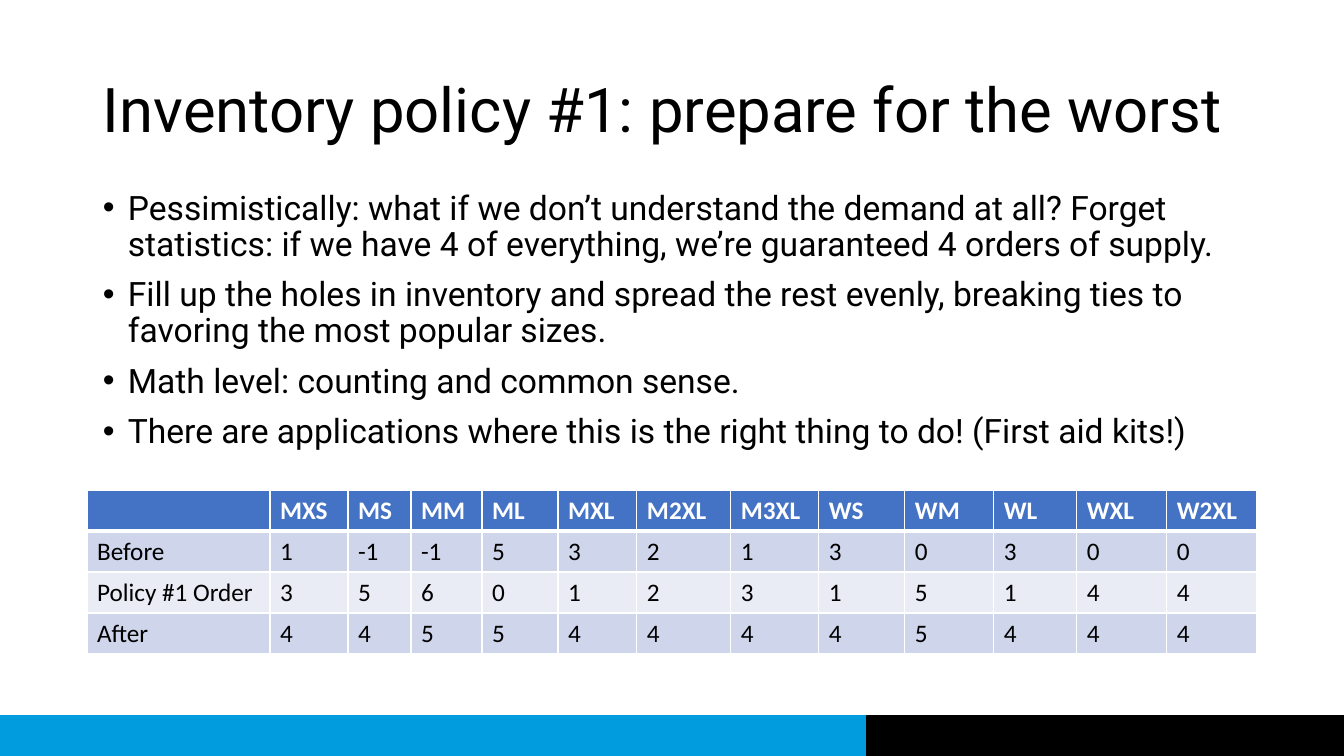
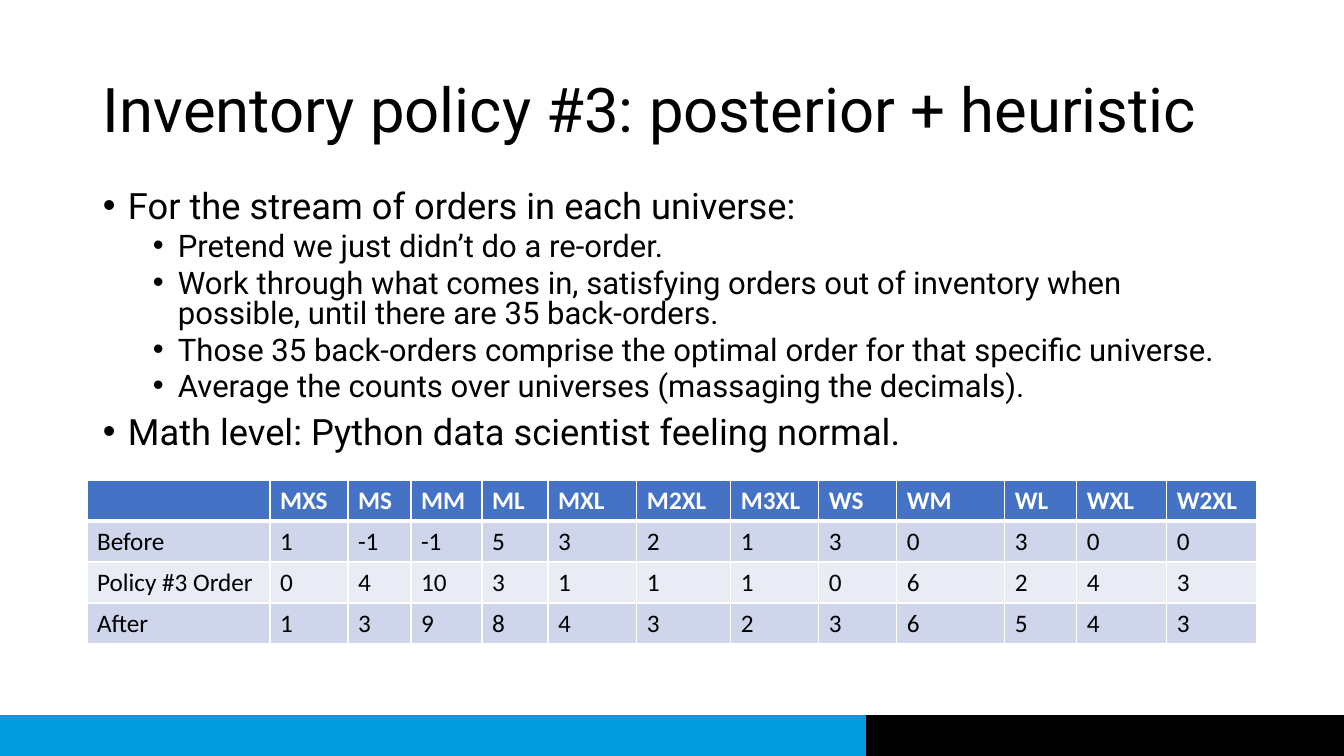
from lxml import etree
from pptx import Presentation
from pptx.dml.color import RGBColor
from pptx.enum.shapes import MSO_SHAPE
from pptx.enum.text import MSO_ANCHOR
from pptx.oxml.ns import qn
from pptx.util import Pt

RECT = MSO_SHAPE.RECTANGLE
MIDDLE = MSO_ANCHOR.MIDDLE
TOP = MSO_ANCHOR.TOP
SCALE = 914400 / 100.8
WIDE, HIGH = 1344, 756
BLUE, BLACK, WHITE = "009CDE", "000000", "FFFFFF"
HEAD, ODD, EVEN = "4472C4", "CFD5EA", "E9EBF5"
SIZES = "MXS MS MM ML MXL M2XL M3XL WS WM WL WXL W2XL".split()
STOCK = [1, -1, -1, 5, 3, 2, 1, 3, 0, 3, 0, 0]


def px(num):
    return round(num * SCALE)


def color(code):
    return RGBColor.from_string(code)


class Deck:
    """Holds the shared style and the slide being built."""

    def __init__(self):
        self.prs = Presentation()
        self.prs.slide_width = px(WIDE)
        self.prs.slide_height = px(HIGH)
        self.slide = None

    def page(self, title):
        self.slide = self.prs.slides.add_slide(self.prs.slide_layouts[6])
        self.band(0, WIDE, BLUE)
        self.band(867, WIDE - 867, BLACK)
        frame = self.box(93, 40, 1159, 146, MIDDLE)
        para = frame.paragraphs[0]
        para.line_spacing = 0.9
        self.run(para, title, 44)

    def band(self, left, width, fill):
        shape = self.slide.shapes.add_shape(
            RECT, px(left), px(716), px(width), px(40))
        shape.shadow.inherit = False
        shape.fill.solid()
        shape.fill.fore_color.rgb = color(fill)
        shape.line.color.rgb = color(fill)
        shape.line.width = Pt(1)

    def box(self, left, top, width, height, anchor=TOP):
        shape = self.slide.shapes.add_textbox(
            px(left), px(top), px(width), px(height))
        frame = shape.text_frame
        frame.word_wrap = True
        frame.vertical_anchor = anchor
        return frame

    def run(self, para, text, size, face="Roboto", fill=BLACK, bold=False):
        run = para.add_run()
        run.text = text
        font = run.font
        font.name = face
        font.size = Pt(size)
        font.bold = bold
        font.color.rgb = color(fill)

    def bullets(self, top, height, items, sizes, space):
        frame = self.box(93, top, 1159, height)
        for num, (level, text) in enumerate(items):
            para = frame.add_paragraph() if num else frame.paragraphs[0]
            props = para._p.get_or_add_pPr()
            props.set("marL", str(px(25 + 50 * level)))
            props.set("indent", str(-px(25)))
            etree.SubElement(props, qn("a:buFont")).set("typeface", "Arial")
            etree.SubElement(props, qn("a:buChar")).set("char", "•")
            para.level = level
            para.line_spacing = space
            para.space_before = Pt((5 if level else 10) if num else 0)
            self.run(para, text, sizes[level])

    def edge(self, cell, side, width):
        props = cell._tc.get_or_add_tcPr()
        line = etree.SubElement(props, qn("a:ln" + side), w=str(Pt(width)))
        fill = etree.SubElement(line, qn("a:solidFill"))
        etree.SubElement(fill, qn("a:srgbClr"), val=WHITE)

    def table(self, top, widths, rows):
        frame = self.slide.shapes.add_table(
            len(rows), len(widths), px(87), px(top),
            px(sum(widths)), px(41 * len(rows)))
        grid = frame.table
        for col, width in zip(grid.columns, widths):
            col.width = px(width)
        for r, row in enumerate(rows):
            grid.rows[r].height = px(41)
            for c, value in enumerate(row):
                self.cell(grid.cell(r, c), r, str(value))

    def cell(self, cell, row, text):
        thick = {"T": 3 if row == 1 else 1, "B": 1 if row else 3}
        for side in "LRTB":
            self.edge(cell, side, thick.get(side, 1))
        cell.fill.solid()
        fill = (ODD if row % 2 else EVEN) if row else HEAD
        cell.fill.fore_color.rgb = color(fill)
        if text:
            self.run(cell.text_frame.paragraphs[0], text, 18, "Calibri",
                     BLACK if row else WHITE, row == 0)

    def policy(self, num, top, widths, order):
        after = [a + b for a, b in zip(STOCK, order)]
        self.table(top, widths, [
            ["", *SIZES],
            ["Before", *STOCK],
            [f"Policy #{num} Order", *order],
            ["After", *after],
        ])


def main():
    deck = Deck()
    deck.page("Inventory policy #1: prepare for the worst")
    deck.bullets(186, 276, [
        (0, "Pessimistically: what if we don’t understand the demand at all? "
            "Forget statistics: if we have 4 of everything, we’re guaranteed "
            "4 orders of supply."),
        (0, "Fill up the holes in inventory and spread the rest evenly, "
            "breaking ties to favoring the most popular sizes."),
        (0, "Math level: counting and common sense."),
        (0, "There are applications where this is the right thing to do! "
            "(First aid kits!)"),
    ], [24], 0.9)
    deck.policy(1, 490,
                [183, 78, 63, 71, 76, 79, 94, 88, 86, 89, 83, 90, 90],
                [3, 5, 6, 0, 1, 2, 3, 1, 5, 1, 4, 4])

    deck.page("Inventory policy #3: posterior + heuristic")
    deck.bullets(187, 292, [
        (0, "For the stream of orders in each universe:"),
        (1, "Pretend we just didn’t do a re-order."),
        (1, "Work through what comes in, satisfying orders out of inventory "
            "when possible, until there are 35 back-orders."),
        (1, "Those 35 back-orders comprise the optimal order for that "
            "specific universe."),
        (1, "Average the counts over universes (massaging the decimals)."),
        (0, "Math level: Python data scientist feeling normal."),
    ], [25.9, 22.2], 0.8)
    deck.policy(3, 480,
                [183, 78, 63, 71, 66, 89, 94, 88, 78, 108, 72, 90, 90],
                [0, 4, 10, 3, 1, 1, 1, 0, 6, 2, 4, 3])
    deck.prs.save("out.pptx")


if __name__ == "__main__":
    main()
